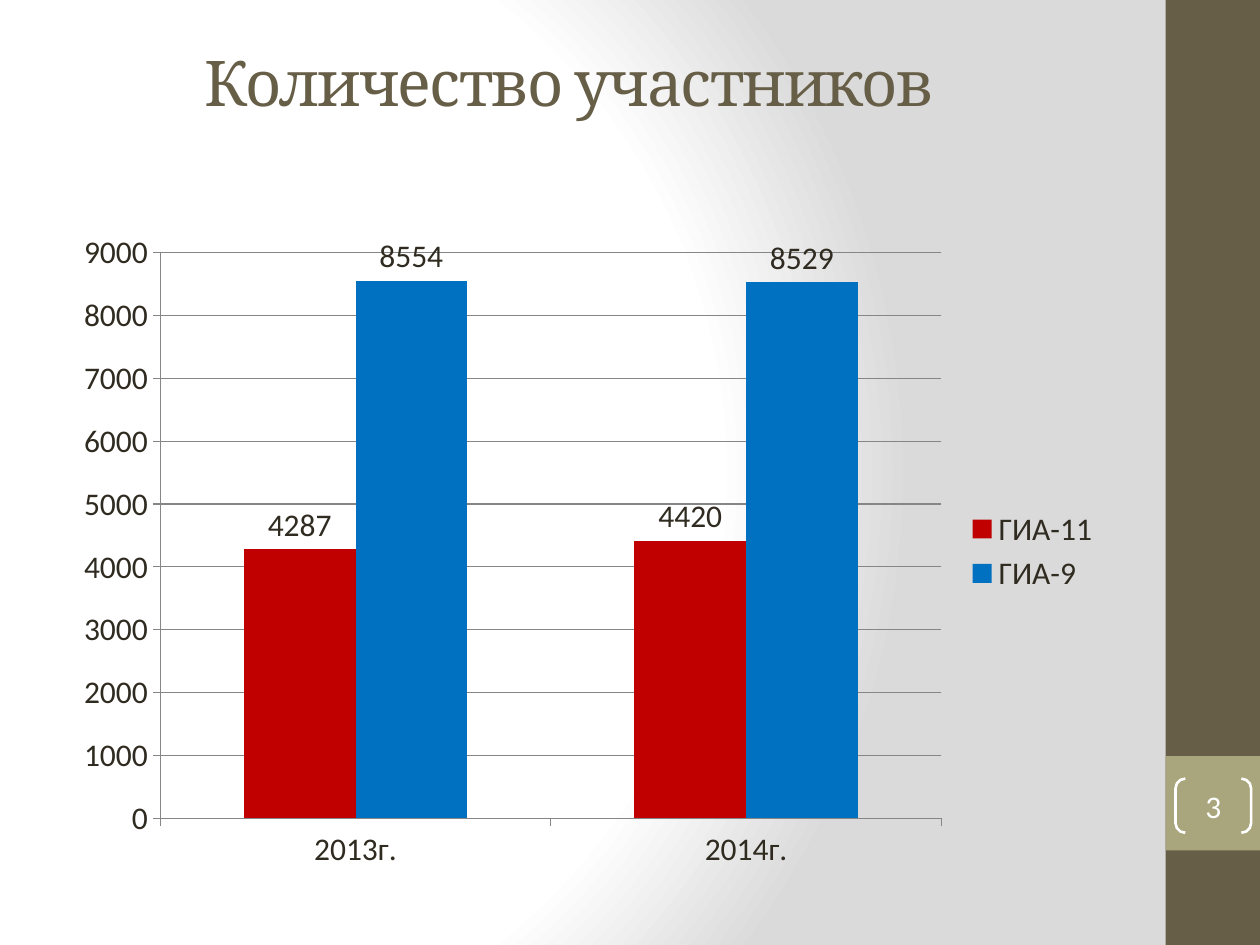
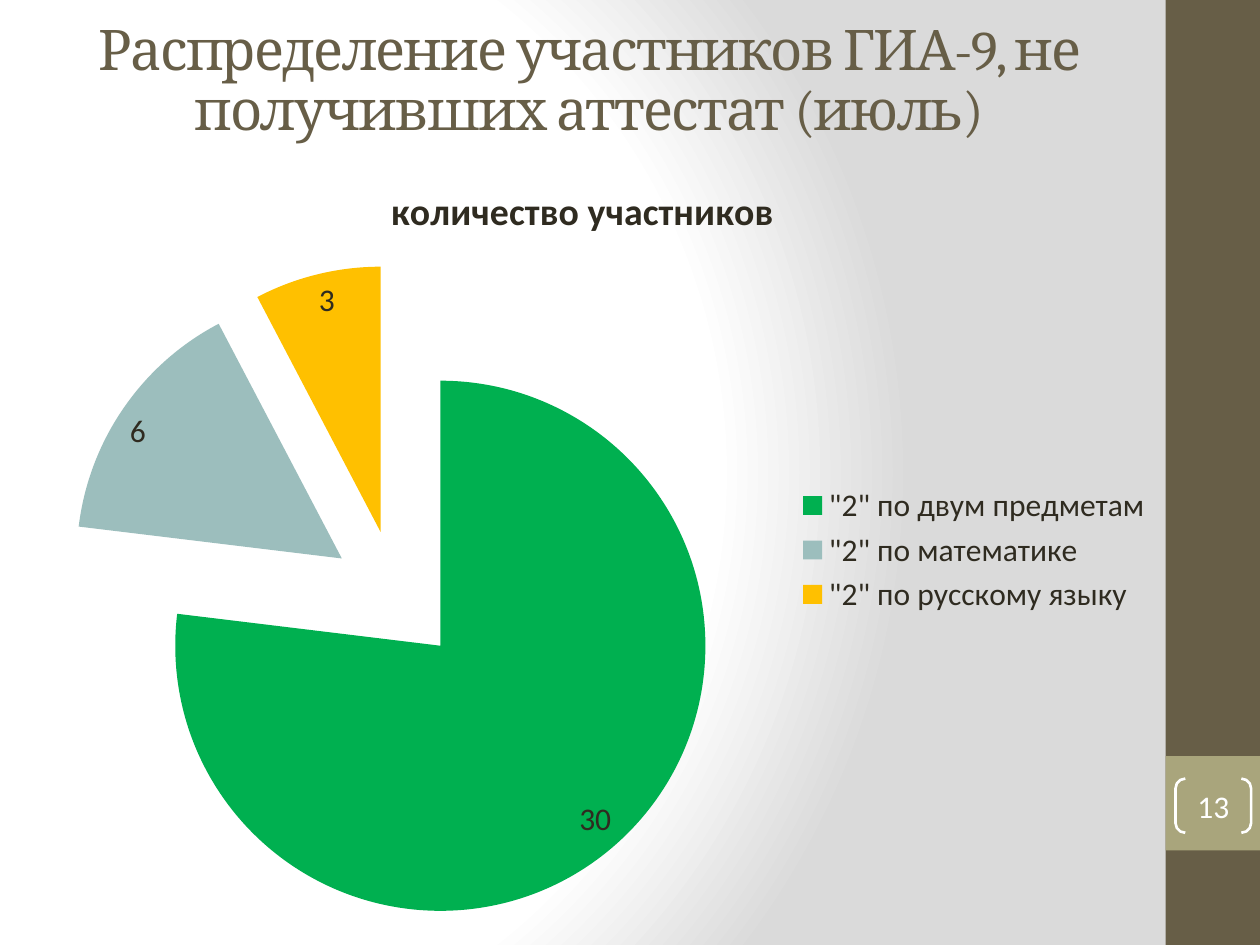
"""Build two slides about exam participants: a column chart and a pie chart."""
import pptx
import pptx.chart.data
import pptx.dml.color
import pptx.enum.chart
import pptx.enum.shapes
import pptx.enum.text
import pptx.oxml
import pptx.oxml.ns
import pptx.util

Pt = pptx.util.Pt
RGBColor = pptx.dml.color.RGBColor
ChartType = pptx.enum.chart.XL_CHART_TYPE
LabelPosition = pptx.enum.chart.XL_LABEL_POSITION
Shape = pptx.enum.shapes.MSO_SHAPE

BROWN = RGBColor(0x67, 0x5E, 0x47)
OLIVE = RGBColor(0xA9, 0xA5, 0x7C)
WHITE = RGBColor(0xFF, 0xFF, 0xFF)
INK = RGBColor(0x2F, 0x2B, 0x20)
GRID = RGBColor(0x86, 0x86, 0x86)
RED = RGBColor(0xC0, 0x00, 0x00)
BLUE = RGBColor(0x00, 0x70, 0xC0)
GREEN = RGBColor(0x00, 0xB0, 0x50)
TEAL = RGBColor(0x9C, 0xBE, 0xBD)
AMBER = RGBColor(0xFF, 0xC0, 0x00)

HEADING_FONT = "Cambria"
BODY_FONT = "Calibri"
BACKGROUND = f"""<p:bg {pptx.oxml.ns.nsdecls("p", "a")}><p:bgPr>
<a:gradFill rotWithShape="1"><a:gsLst>
<a:gs pos="0"><a:srgbClr val="FFFFFF"/></a:gs>
<a:gs pos="75000"><a:srgbClr val="FFFFFF"/></a:gs>
<a:gs pos="100000"><a:srgbClr val="DADADA"/></a:gs></a:gsLst>
<a:path path="circle"><a:fillToRect l="20000" t="50000" r="100000" b="50000"/></a:path>
</a:gradFill><a:effectLst/></p:bgPr></p:bg>"""

slides = [
    {
        "title": "Количество участников", "size": 36, "title_at": (25.2, 4.32),
        "number": "3", "type": ChartType.COLUMN_CLUSTERED,
        "chart_at": (36, 126, 600, 378),
        "categories": ["2013г.", "2014г."],
        "series": {"ГИА-11": (4287, 4420), "ГИА-9": (8554, 8529)},
        "colors": [RED, BLUE], "labels": LabelPosition.OUTSIDE_END,
    },
    {
        "title": "Распределение участников ГИА-9, не получивших аттестат (июль)",
        "size": 32, "title_at": (36.72, 2.16),
        "number": "13", "type": ChartType.PIE,
        "chart_at": (0, 88.56, 666, 451.44),
        "categories": ['"2" по двум предметам', '"2" по математике', '"2" по русскому языку'],
        "series": {"количество участников": (30, 6, 3)},
        "colors": [GREEN, TEAL, AMBER], "labels": LabelPosition.INSIDE_END,
    },
]


def write(shape, text, font, size, color):
    frame = shape.text_frame
    frame.word_wrap = True
    frame.vertical_anchor = pptx.enum.text.MSO_ANCHOR.MIDDLE
    para = frame.paragraphs[0]
    para.alignment = pptx.enum.text.PP_ALIGN.CENTER
    span = para.add_run()
    span.text = text
    span.font.name = font
    span.font.size = Pt(size)
    span.font.color.rgb = color
    return para, span


deck = pptx.Presentation()
deck.slide_width, deck.slide_height = Pt(720), Pt(540)

for slide in slides:
    page = deck.slides.add_slide(deck.slide_layouts[6])
    page.element.cSld.insert(0, pptx.oxml.parse_xml(BACKGROUND))

    for top, height, color in ((0, 540, BROWN), (432, 54, OLIVE)):
        band = page.shapes.add_shape(Shape.RECTANGLE, Pt(666), Pt(top), Pt(54), Pt(height))
        band.shadow.inherit = False
        band.fill.solid()
        band.fill.fore_color.rgb = color
        band.line.fill.background()

    left, top = slide["title_at"]
    title = page.shapes.add_textbox(Pt(left), Pt(top), Pt(600), Pt(90))
    para, span = write(title, slide["title"], HEADING_FONT, slide["size"], BROWN)
    para.line_spacing = 0.9
    span.font._element.set("spc", "-100")

    data = pptx.chart.data.CategoryChartData(number_format="General")
    data.categories = slide["categories"]
    for name, values in slide["series"].items():
        data.add_series(name, values)
    chart = page.shapes.add_chart(slide["type"], *map(Pt, slide["chart_at"]), data).chart
    chart.font.name = BODY_FONT
    chart.font.size = Pt(18)
    chart.font.color.rgb = INK
    chart.has_legend = True
    chart.legend.position = pptx.enum.chart.XL_LEGEND_POSITION.RIGHT
    chart.legend.include_in_layout = False

    plot = chart.plots[0]
    plot.has_data_labels = True
    plot.data_labels.show_value = True
    plot.data_labels.show_percentage = False
    plot.data_labels.position = slide["labels"]

    if slide["type"] == ChartType.PIE:
        plot.vary_by_categories = True
        chart.has_title = True
        span = chart.chart_title.text_frame.paragraphs[0].add_run()
        span.text = plot.series[0].name
        span.font.name = BODY_FONT
        span.font.size = Pt(21.6)
        span.font.bold = True
        span.font.color.rgb = INK
        parts = [plot.series[0].points[index] for index in range(len(slide["colors"]))]
    else:
        plot.vary_by_categories = False
        plot.gap_width = 150
        chart.has_title = False
        parts = plot.series
        for axis in (chart.category_axis, chart.value_axis):
            axis.major_tick_mark = pptx.enum.chart.XL_TICK_MARK.OUTSIDE
            axis.format.line.color.rgb = GRID
        chart.value_axis.has_major_gridlines = True
        chart.value_axis.major_gridlines.format.line.color.rgb = GRID

    for part, color in zip(parts, slide["colors"]):
        part.format.fill.solid()
        part.format.fill.fore_color.rgb = color

    if slide["type"] == ChartType.PIE:
        explosion = pptx.oxml.parse_xml(f'<c:explosion {pptx.oxml.ns.nsdecls("c")} val="25"/>')
        chart.element.xpath(".//c:dPt")[0].addprevious(explosion)

    badge = page.shapes.add_shape(Shape.DOUBLE_BRACKET, Pt(671.76), Pt(444.96), Pt(43.2), Pt(30.96))
    badge.adjustments[0] = 0.18
    badge.shadow.inherit = False
    badge.fill.background()
    badge.line.color.rgb = WHITE
    badge.line.width = Pt(1.5)
    frame = badge.text_frame
    frame.margin_left = frame.margin_right = frame.margin_top = frame.margin_bottom = 0
    write(badge, slide["number"], BODY_FONT, 18, WHITE)

deck.save("out.pptx")
